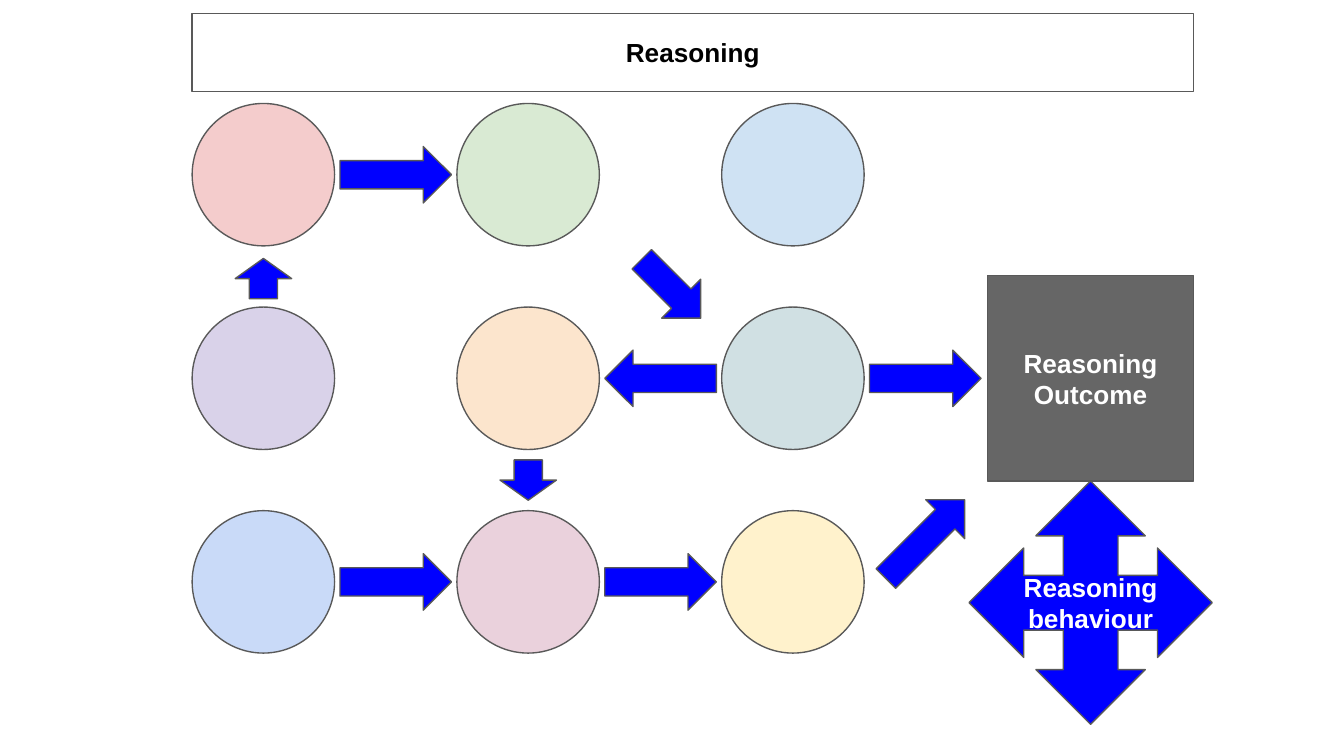
import pptx
import pptx.dml.color
import pptx.enum.shapes
import pptx.enum.text
import pptx.util

KINDS = pptx.enum.shapes.MSO_SHAPE
SCALE = 4572
STEP_X, STEP_Y, DISC = 394, 303, 212
FILLS = [
    ["F4CCCC", "D9EAD3", "CFE2F3"],
    ["D9D2E9", "FCE5CD", "D0E0E3"],
    ["C9DAF8", "EAD1DC", "FFF2CC"],
]
ARROWS = [
    (0.5, 0, 166, 84, 0),
    (0.5, 2, 166, 84, 0),
    (1.5, 2, 166, 84, 0),
    (0, 0.51, 60, 84, 270),
    (1.54, 0.56, 124, 82, 45),
    (2.5, 1.79, 166, 82, 315),
    (2.5, 1, 166, 84, 0),
    (1, 1.5, 60, 84, 90),
    (1.5, 1, 166, 84, 180),
]


def px(count):
    """Turn px into EMU."""
    return pptx.util.Emu(round(count * SCALE))


def paint(code):
    """Turn a hex string into a colour."""
    return pptx.dml.color.RGBColor.from_string(code)


def add_form(slide, kind, box, fill):
    """Add a flat filled shape with a thin grey outline."""
    form = slide.shapes.add_shape(kind, *(px(side) for side in box))
    form.shadow.inherit = False
    form.fill.solid()
    form.fill.fore_color.rgb = paint(fill)
    form.line.color.rgb = paint("595959")
    form.line.width = pptx.util.Pt(0.75)
    return form


def add_text(form, lines, tint):
    """Write centred bold lines inside a shape."""
    frame = form.text_frame
    frame.word_wrap = True
    frame.vertical_anchor = pptx.enum.text.MSO_ANCHOR.MIDDLE
    frame.margin_left = frame.margin_right = px(20)
    frame.margin_top = frame.margin_bottom = px(20)
    for place, line in enumerate(lines):
        para = frame.add_paragraph() if place else frame.paragraphs[0]
        para.alignment = pptx.enum.text.PP_ALIGN.CENTER
        run = para.add_run()
        run.text = line
        run.font.name = "Arial"
        run.font.size = pptx.util.Pt(14)
        run.font.bold = True
        run.font.color.rgb = paint(tint)


def draw_discs(slide, left, top):
    """Draw the three by three grid of circles."""
    for row, fills in enumerate(FILLS):
        for col, fill in enumerate(fills):
            box = (left + col * STEP_X, top + row * STEP_Y, DISC, DISC)
            add_form(slide, KINDS.OVAL, box, fill)


def draw_arrows(slide, left, top):
    """Draw the arrows, centred on fractions of the grid steps."""
    for col, row, width, height, turn in ARROWS:
        mid_x = left + DISC / 2 + col * STEP_X
        mid_y = top + DISC / 2 + row * STEP_Y
        box = (mid_x - width / 2, mid_y - height / 2, width, height)
        add_form(slide, KINDS.RIGHT_ARROW, box, "0000FF").rotation = turn


def draw_header(slide, box):
    """Draw the title bar."""
    add_text(add_form(slide, KINDS.RECTANGLE, box, "FFFFFF"), ["Reasoning"], "000000")


def draw_result(slide, left, top, size):
    """Draw the outcome square and the four-way arrow below it."""
    square = add_form(slide, KINDS.RECTANGLE, (left, top, size, size), "666666")
    add_text(square, ["Reasoning", "Outcome"], "FFFFFF")
    span = 362
    box = (left + (size - span) / 2, top + size, span, span)
    cross = add_form(slide, KINDS.QUAD_ARROW, box, "0000FF")
    for place in range(3):
        cross.adjustments[place] = 0.225
    add_text(cross, ["Reasoning behaviour"], "FFFFFF")


def main():
    """Build and save the slide."""
    deck = pptx.Presentation()
    deck.slide_width, deck.slide_height = px(2000), px(1125)
    slide = deck.slides.add_slide(deck.slide_layouts[6])
    draw_discs(slide, 286, 154)
    draw_arrows(slide, 286, 154)
    draw_header(slide, (286, 20, 1490, 116))
    draw_result(slide, 1470, 410, 306)
    deck.save("out.pptx")


if __name__ == "__main__":
    main()
